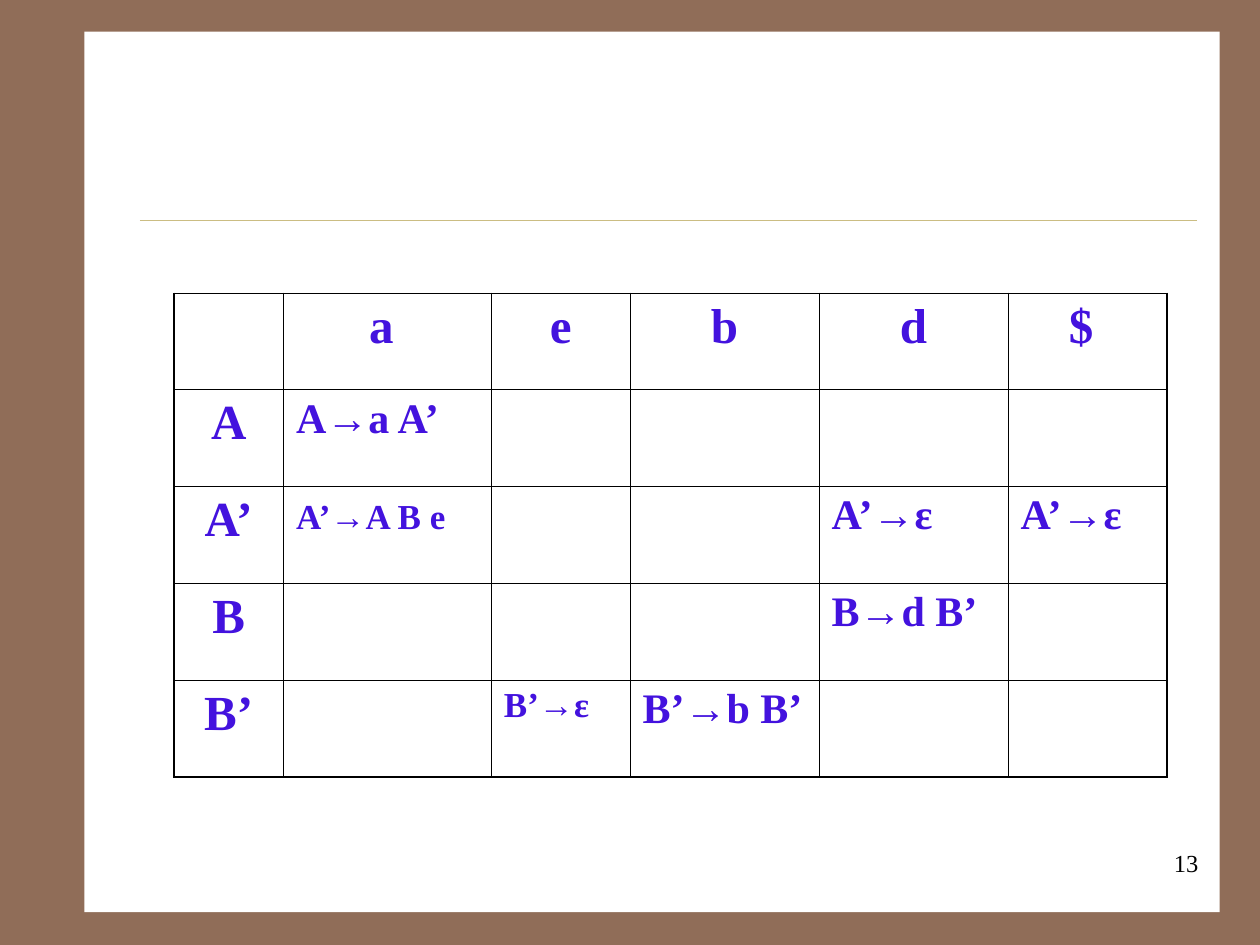
import pptx
import pptx.util
import pptx.dml.color
import pptx.enum.shapes
import pptx.enum.text
import pptx.oxml
import pptx.oxml.ns
from pptx.util import Inches, Pt


class Theme:
    font = "Times New Roman"
    frame = pptx.dml.color.RGBColor.from_string("906D58")
    panel = pptx.dml.color.RGBColor.from_string("FFFFFF")
    rule = pptx.dml.color.RGBColor.from_string("CBBD83")
    symbol = pptx.dml.color.RGBColor.from_string("4312DE")
    black = pptx.dml.color.RGBColor.from_string("000000")
    head, body, small, number = 28, 24, 20, 14
    outer, inner = 1.08, 0.45


def add_run(p, text, size, color, bold=False):
    r = p.add_run()
    r.text = text
    r.font.name = Theme.font
    r.font.size = Pt(size)
    r.font.bold = bold
    r.font.color.rgb = color


def add_border(cell, side, width):
    ns = pptx.oxml.ns.nsdecls("a")
    cell._tc.get_or_add_tcPr().append(pptx.oxml.parse_xml(
        f'<a:ln{side} {ns} w="{Pt(width)}"><a:solidFill>'
        f'<a:srgbClr val="{Theme.black}"/></a:solidFill></a:ln{side}>'))


prs = pptx.Presentation()
prs.slide_width, prs.slide_height = Inches(10), Inches(7.5)
s = prs.slides.add_slide(prs.slide_layouts[6])
s.background.fill.solid()
s.background.fill.fore_color.rgb = Theme.frame

panel = s.shapes.add_shape(pptx.enum.shapes.MSO_SHAPE.RECTANGLE,
                           Inches(0.67), Inches(0.25), Inches(9.01), Inches(6.99))
panel.shadow.inherit = False
panel.fill.solid()
panel.fill.fore_color.rgb = Theme.panel
panel.line.fill.background()

rule = s.shapes.add_connector(pptx.enum.shapes.MSO_CONNECTOR.STRAIGHT,
                              Inches(1.11), Inches(1.75), Inches(9.5), Inches(1.75))
rule.line.color.rgb = Theme.rule
rule.line.width = Pt(0.25)
rule._element.spPr.append(pptx.oxml.parse_xml(
    f'<a:effectLst {pptx.oxml.ns.nsdecls("a")}/>'))

number = s.shapes.add_textbox(Inches(7.53), Inches(6.68), Inches(2.08), Inches(0.5))
tf = number.text_frame
tf.word_wrap = True
p = tf.paragraphs[0]
p.alignment = pptx.enum.text.PP_ALIGN.RIGHT
add_run(p, "13", Theme.number, Theme.black)

terminals = ["", "a ", " e ", "b", " d ", "$ "]
nonterminals = ["A", "A’", "B", "B’"]
productions = {
    (1, 1): [("A→a A’", Theme.body)],
    (2, 1): [("A’→A B e", Theme.small), (" ", Theme.body)],
    (2, 4): [("A’→ε", Theme.body)],
    (2, 5): [("A’→ε", Theme.body)],
    (3, 4): [("B→d B’", Theme.body)],
    (4, 2): [("B’→ε", Theme.small)],
    (4, 3): [("B’→b B’", Theme.body)],
}
widths = [0.87, 1.65, 1.1, 1.5, 1.5, 1.26]
heights = [0.76] + [0.77] * len(nonterminals)
last_row, last_col = len(heights) - 1, len(widths) - 1

table = s.shapes.add_table(len(heights), len(widths), Inches(1.38), Inches(2.33),
                           Inches(sum(widths)), Inches(sum(heights))).table
table.first_row = table.horz_banding = False
for col, width in zip(table.columns, widths):
    col.width = Inches(width)
for row, height in zip(table.rows, heights):
    row.height = Inches(height)

for i in range(len(heights)):
    for j in range(len(widths)):
        cell = table.cell(i, j)
        edges = {"L": j == 0, "R": j == last_col, "T": i == 0, "B": i == last_row}
        for side, is_outer in edges.items():
            add_border(cell, side, Theme.outer if is_outer else Theme.inner)
        cell.fill.background()
        p = cell.text_frame.paragraphs[0]
        if i == 0 or j == 0:
            p.alignment = pptx.enum.text.PP_ALIGN.CENTER
            label = terminals[j] if i == 0 else nonterminals[i - 1]
            runs = [(label, Theme.head)] if label else []
        else:
            runs = productions.get((i, j), [])
        for text, size in runs:
            add_run(p, text, size, Theme.symbol, bold=True)

prs.save("out.pptx")
